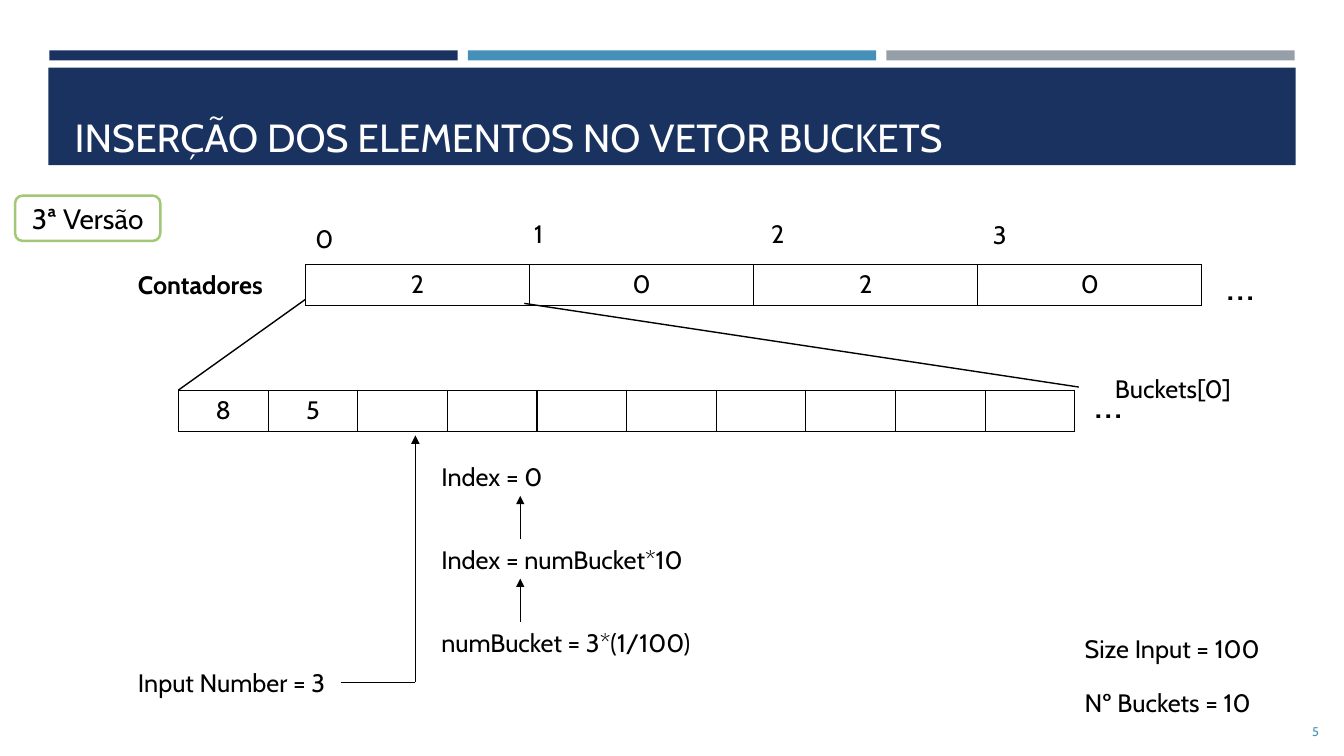
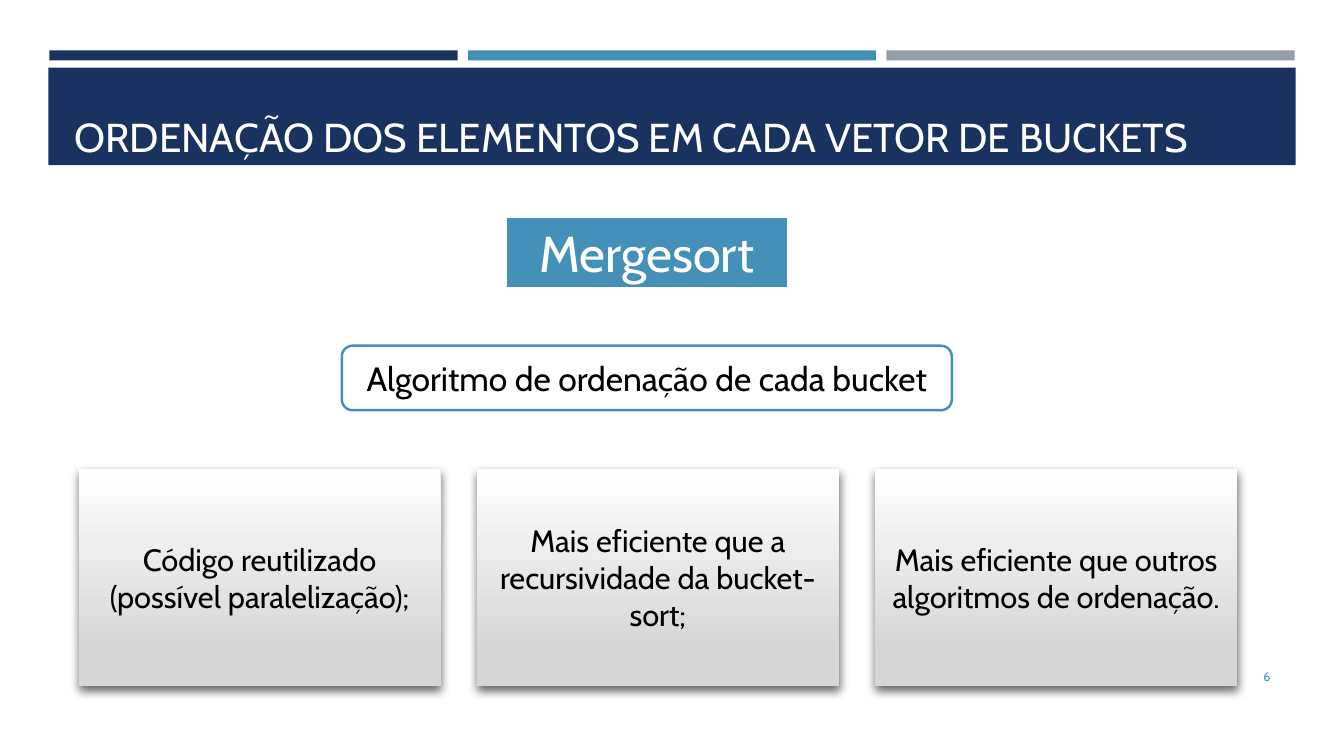
from lxml import etree
from pptx import Presentation
from pptx.dml.color import RGBColor
from pptx.enum.shapes import MSO_CONNECTOR, MSO_SHAPE
from pptx.enum.text import MSO_ANCHOR, MSO_AUTO_SIZE, PP_ALIGN
from pptx.oxml import parse_xml
from pptx.oxml.ns import nsdecls, qn
from pptx.util import Inches, Pt

FONT = "Cabin"
COLORS = {"navy": "1A3260", "blue": "4590B8", "gray": "969FA7", "green": "A2C777",
          "white": "FFFFFF", "black": "000000", "silver": "D6D6D6"}
LEFT, CENTER, RIGHT = PP_ALIGN.LEFT, PP_ALIGN.CENTER, PP_ALIGN.RIGHT
TOP, MIDDLE, BOTTOM = MSO_ANCHOR.TOP, MSO_ANCHOR.MIDDLE, MSO_ANCHOR.BOTTOM
RECT, ROUND_RECT = MSO_SHAPE.RECTANGLE, MSO_SHAPE.ROUNDED_RECTANGLE
STRAIGHT, NO_AUTOFIT = MSO_CONNECTOR.STRAIGHT, MSO_AUTO_SIZE.NONE


def rgb(name):
    return RGBColor.from_string(COLORS[name])


def inches(*values):
    return [Inches(v) for v in values]


# Text and shape helpers
def write(tf, text, size=18, color="black", bold=False, align=LEFT, anchor=TOP):
    tf.word_wrap = True
    tf.vertical_anchor = anchor
    p = tf.paragraphs[0]
    p.alignment = align
    r = p.add_run()
    r.text = text
    r.font.name, r.font.size, r.font.bold = FONT, Pt(size), bold
    r.font.color.rgb = rgb(color)


def add_text(slide, box, text, **fmt):
    tb = slide.shapes.add_textbox(*inches(*box))
    write(tb.text_frame, text, **fmt)


def add_box(slide, box, fill, kind=RECT, line=None, width=1.75):
    sp = slide.shapes.add_shape(kind, *inches(*box))
    sp.shadow.inherit = False
    sp.fill.solid()
    sp.fill.fore_color.rgb = rgb(fill)
    if line:
        sp.line.color.rgb = rgb(line)
        sp.line.width = Pt(width)
    else:
        sp.line.fill.background()
    return sp


def add_line(slide, start, end, arrow=False):
    cx = slide.shapes.add_connector(STRAIGHT, *inches(*start, *end))
    cx.line.color.rgb = rgb("black")
    cx.line.width = Pt(1)
    if arrow:
        etree.SubElement(cx.line._get_or_add_ln(), qn("a:tailEnd"), type="triangle")
    etree.SubElement(cx.element.spPr, qn("a:effectLst"))


# Bands and title position shared by all slides
def style_layout(layout, slide):
    bands = [add_box(slide, (0.49 + 4.15 * i, 0.5, 4.05, 0.1), color)
             for i, color in enumerate(("navy", "blue", "gray"))]
    bands.append(add_box(slide, (0.48, 0.67, 12.37, 0.97), "navy"))
    for i, band in enumerate(bands):
        band.element.nvSpPr.cNvPr.id = 100 + i
        layout.shapes.element.insert(2 + i, band.element)
    title = layout.placeholders[0]
    title.left, title.top, title.width, title.height = inches(0.64, 0.77, 12.06, 0.87)


def add_header(slide, title, size, number, number_at):
    tf = slide.shapes.title.text_frame
    tf.auto_size = NO_AUTOFIT
    write(tf, title, size=size, color="white", anchor=BOTTOM)
    add_text(slide, (*number_at, 1.15, 0.4), number,
             size=9, color="blue", align=RIGHT, anchor=MIDDLE)


# One-row table drawn as an array
def add_array(slide, box, values):
    frame = slide.shapes.add_table(1, len(values), *inches(*box))
    table = frame.table
    table.first_row = table.horz_banding = False
    for column in table.columns:
        column.width = Inches(box[2] / len(values))
    for cell, value in zip(table.rows[0].cells, values):
        write(cell.text_frame, value, align=CENTER)
        tcPr = cell._tc.get_or_add_tcPr()
        for side in ("lnL", "lnR", "lnT", "lnB"):
            tcPr.append(parse_xml(
                f'<a:{side} {nsdecls("a")} w="12700"><a:solidFill>'
                f'<a:srgbClr val="{COLORS["black"]}"/></a:solidFill></a:{side}>'))
        cell.fill.background()


# Slide 1: counters above, the first bucket opened below
def add_counters(slide, x, y):
    add_text(slide, (x - 1.76, y, 1.62, 0.4), "Contadores", bold=True)
    add_array(slide, (x, y, 8.89, 0.41), ["2", "0", "2", "0"])
    add_text(slide, (x + 9.04, y - 0.1, 1.07, 0.61), "…", size=30)
    for i, (dx, dy) in enumerate([(0, 0.45), (2.17, 0.5), (4.52, 0.5), (6.72, 0.49)]):
        add_text(slide, (x + dx, y - dy, 2.17, 0.4), str(i))


def add_bucket(slide, x, y):
    add_array(slide, (x, y, 8.89, 0.41), ["8", "5"] + [""] * 8)
    add_line(slide, (x + 1.26, y - 0.9), (x, y))
    add_line(slide, (x + 3.43, y - 0.86), (x + 8.93, y - 0.03))
    add_text(slide, (x + 9.19, y - 0.22, 2.15, 0.4), "Buckets[0]")
    add_text(slide, (x + 8.99, y - 0.18, 0.79, 0.61), "…", size=30)


def add_index_steps(slide, x, y):
    steps = ["Index = 0", "Index = numBucket*10", "numBucket = 3*(1/100)"]
    for i, step in enumerate(steps):
        top = y + 0.82 * i
        add_text(slide, (x, top, 3.87, 0.4), step)
        if i:
            add_line(slide, (x + 0.88, top), (x + 0.88, top - 0.43), arrow=True)


def add_input(slide, x, y):
    add_text(slide, (x, y, 2.11, 0.4), "Input Number = 3")
    corner = (x + 2.85, y + 0.2)
    add_line(slide, (x + 2.11, y + 0.2), corner)
    add_line(slide, corner, (corner[0], y - 2.25), arrow=True)


def build_insertion(slide):
    add_header(slide, "INSERÇÃO DOS ELEMENTOS NO VETOR BUCKETS", 28, "5", (12.03, 7.06))
    add_counters(slide, 3.03, 2.62)
    add_bucket(slide, 1.77, 3.87)
    add_index_steps(slide, 4.28, 4.53)
    add_input(slide, 1.27, 6.57)
    for i, text in enumerate(["Size Input = 100", "Nº Buckets = 10"]):
        add_text(slide, (10.66, 6.23 + 0.54 * i, 2.11, 0.4), text)
    badge = add_box(slide, (0.15, 1.94, 1.44, 0.45), "white", ROUND_RECT, "green")
    write(badge.text_frame, "3ª Versão", size=20, align=CENTER, anchor=MIDDLE)


# Slide 2: algorithm and its reasons
def add_card(slide, box, text):
    card = add_box(slide, box, "white")
    card.fill.gradient()
    card.fill.gradient_angle = 270
    for stop, color, position in zip(card.fill.gradient_stops, ("white", "silver"), (0, 0.84)):
        stop.color.rgb = rgb(color)
        stop.position = position
    effects = card.element.spPr.find(qn("a:effectLst"))
    effects.append(parse_xml(
        f'<a:outerShdw {nsdecls("a")} blurRad="{Pt(7)}" dist="{Pt(3)}" dir="5040000" '
        f'rotWithShape="0"><a:srgbClr val="{COLORS["black"]}"><a:alpha val="60000"/>'
        '</a:srgbClr></a:outerShdw>'))
    write(card.text_frame, text, size=22, align=CENTER, anchor=MIDDLE)


def add_cards(slide, x, y, texts):
    for i, text in enumerate(texts):
        add_card(slide, (x + 3.95 * i, y, 3.59, 2.16), text)


def build_sorting(slide):
    add_header(slide, "ORDENAÇÃO DOS ELEMENTOS EM CADA VETOR DE BUCKETS", 28.8,
               "6", (11.55, 6.51))
    name = add_box(slide, (5.01, 2.15, 2.81, 0.71), "blue", line="white", width=2)
    write(name.text_frame, "Mergesort", size=36, color="white", align=CENTER, anchor=MIDDLE)
    role = add_box(slide, (3.39, 3.43, 6.05, 0.64), "white", ROUND_RECT, "blue")
    write(role.text_frame, "Algoritmo de ordenação de cada bucket",
          size=24, align=CENTER, anchor=MIDDLE)
    add_cards(slide, 0.78, 4.65, [
        "Código reutilizado (possível paralelização);",
        "Mais eficiente que a recursividade da bucket-sort;",
        "Mais eficiente que outros algoritmos de ordenação."])


def main():
    prs = Presentation()
    prs.slide_width, prs.slide_height = inches(13.33, 7.5)
    layout = prs.slide_layouts[5]
    slides = [prs.slides.add_slide(layout) for _ in range(2)]
    style_layout(layout, slides[0])
    build_insertion(slides[0])
    build_sorting(slides[1])
    prs.save("out.pptx")


if __name__ == "__main__":
    main()
